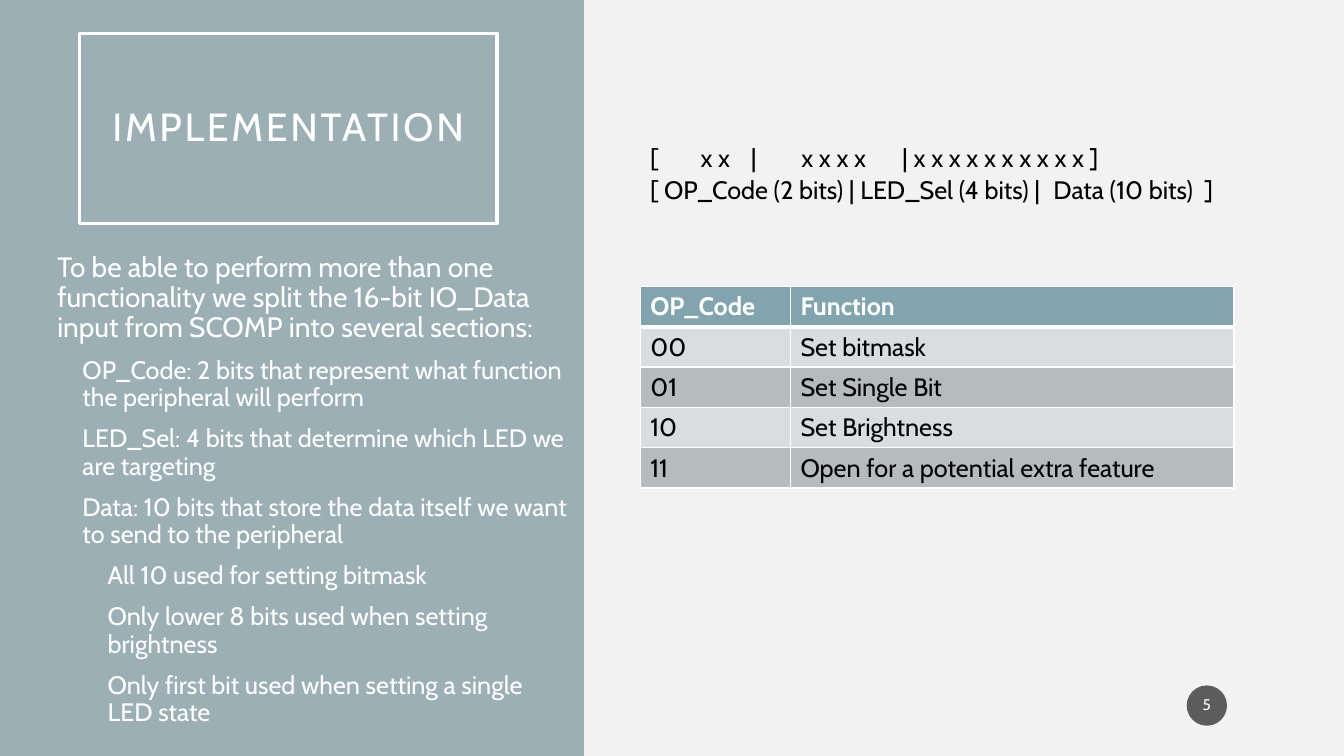
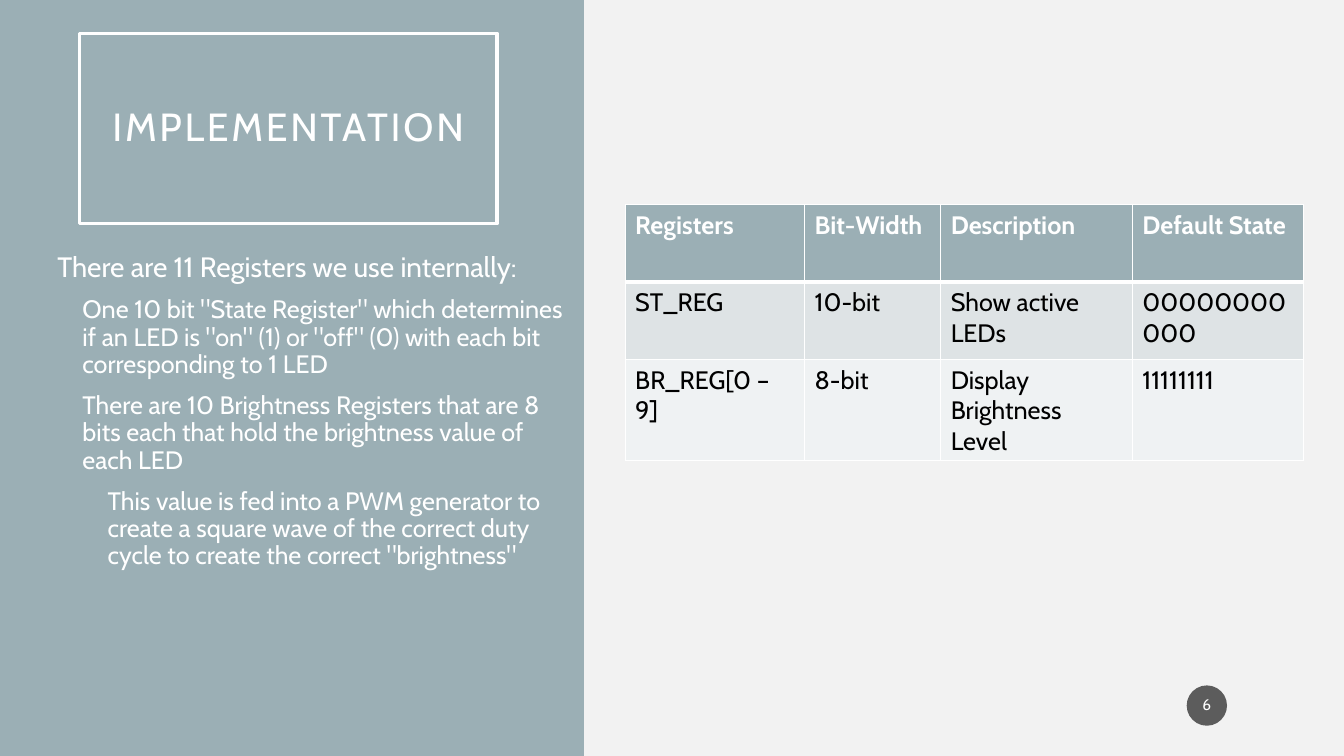
from dataclasses import dataclass

from lxml.etree import SubElement
from pptx import Presentation
from pptx.dml.color import RGBColor
from pptx.enum.shapes import MSO_SHAPE as Shape
from pptx.enum.text import MSO_ANCHOR as Anchor, PP_ALIGN as Align
from pptx.oxml.ns import qn
from pptx.util import Inches, Pt

FONT = "Cabin"
WHITE, BLACK = "FFFFFF", "000000"
BACKGROUND, PANEL, BADGE = "F2F2F2", "9BAFB5", "1D1D1D"
BULLET_STEP = 0.25


@dataclass(frozen=True)
class Point:
    level: int
    text: str


@dataclass(frozen=True)
class Grid:
    left: float
    top: float
    widths: tuple[float, ...]
    row_height: float
    header: str
    bands: tuple[str, str]
    rows: tuple[tuple[str, ...], ...]


@dataclass(frozen=True)
class Page:
    number: int
    points: tuple[Point, ...]
    grid: Grid


OPCODES = Page(
    5,
    (
        Point(0, "To be able to perform more than one functionality we split the "
                 "16-bit IO_Data input from SCOMP into several sections:"),
        Point(1, "OP_Code: 2 bits that represent what function the peripheral will perform"),
        Point(1, "LED_Sel: 4 bits that determine which LED we are targeting"),
        Point(1, "Data: 10 bits that store the data itself we want to send to the peripheral"),
        Point(2, "All 10 used for setting bitmask"),
        Point(2, "Only lower 8 bits used when setting brightness"),
        Point(2, "Only first bit used when setting a single LED state"),
    ),
    Grid(6.35, 2.84, (1.49, 4.4), 0.4, "81A4AF", ("D9DDDF", "B4BCBE"), (
        ("OP_Code", "Function"),
        ("00", "Set bitmask"),
        ("01", "Set Single Bit"),
        ("10", "Set Brightness"),
        ("11", "Open for a potential extra feature"),
    )),
)

REGISTERS = Page(
    6,
    (
        Point(0, "There are 11 Registers we use internally:"),
        Point(1, 'One 10 bit "State Register" which determines if an LED is "on" (1) '
                 'or "off" (0) with each bit corresponding to 1 LED'),
        Point(1, "There are 10 Brightness Registers that are 8 bits each that hold "
                 "the brightness value of each LED"),
        Point(2, "This value is fed into a PWM generator to create a square wave of "
                 'the correct duty cycle to create the correct "brightness"'),
    ),
    Grid(6.2, 2.03, (1.78, 1.35, 1.9, 1.7), 0.77, PANEL, ("DEE3E5", "EFF2F3"), (
        ("Registers", "Bit-Width", "Description", "Default State"),
        ("ST_REG", "10-bit", "Show active LEDs", "00000000000"),
        ("BR_REG[0 – 9]", "8-bit", "Display Brightness Level", "11111111"),
    )),
)

BIT_LAYOUT = (
    ("[\tx x\t|\tx x x x\t| x x x x x x x x x x ]", (0.75, 1.68, 2.21, 3.25)),
    ("[ OP_Code (2 bits) | LED_Sel (4 bits) |\tData (10 bits)\t]", (4.14, 5.73)),
)


def rgb(color: str) -> RGBColor:
    return RGBColor.from_string(color)


def write(tf, text: str, *, size=18, color=WHITE, bold=False, align=Align.LEFT,
          line=None, before=None, after=None, spacing=None, level=0, indent=0.0):
    p = tf.paragraphs[0]
    if p.runs:
        p = tf.add_paragraph()
    p.alignment, p.level = align, level
    p.line_spacing = line
    p.space_before = Pt(before or 0)
    p.space_after = Pt(after or 0)
    props = p._p.get_or_add_pPr()
    props.set("marL", str(Inches(indent)))
    props.set("indent", "0")
    r = p.add_run()
    r.text = text
    r.font.name, r.font.size, r.font.bold = FONT, Pt(size), bold
    r.font.color.rgb = rgb(color)
    if spacing:
        r.font._element.set("spc", str(spacing * 100))
    return p


def add_box(s, kind: Shape, left: float, top: float, width: float, height: float,
            fill: str | None = None, line: str | None = None):
    sp = s.shapes.add_shape(kind, Inches(left), Inches(top), Inches(width), Inches(height))
    sp.shadow.inherit = False
    if fill:
        sp.fill.solid()
        sp.fill.fore_color.rgb = rgb(fill)
    else:
        sp.fill.background()
    if line:
        sp.line.color.rgb = rgb(line)
        sp.line.width = Pt(2.5)
    else:
        sp.line.fill.background()
    return sp


def add_text_frame(s, left: float, top: float, width: float, height: float):
    tf = s.shapes.add_textbox(Inches(left), Inches(top), Inches(width), Inches(height)).text_frame
    tf.word_wrap = True
    return tf


def set_insets(tf, side: float, end: float) -> None:
    tf.margin_left = tf.margin_right = Inches(side)
    tf.margin_top = tf.margin_bottom = Inches(end)
    tf.vertical_anchor = Anchor.MIDDLE
    tf.word_wrap = True


def add_title(s, text: str) -> None:
    tf = add_box(s, Shape.RECTANGLE, 0.79, 0.33, 4.14, 1.89, line=WHITE).text_frame
    set_insets(tf, 0.2, 0.2)
    write(tf, text, size=28, align=Align.CENTER, line=0.9, spacing=2)


def add_points(s, points: tuple[Point, ...]) -> None:
    tf = add_text_frame(s, 0.22, 2.46, 5.54, 4.8)
    for point in points:
        write(tf, point.text, size=18 if point.level else 20, line=0.9, before=10,
              level=point.level, indent=BULLET_STEP * (point.level + 1))


def add_page_number(s, number: int) -> None:
    sp = add_box(s, Shape.OVAL, 11.77, 6.8, 0.4, 0.4, fill=BADGE)
    color = sp.fill._xPr.find(qn("a:solidFill"))[0]
    SubElement(color, qn("a:alpha"), val="70000")
    set_insets(sp.text_frame, 0.02, 0.05)
    write(sp.text_frame, str(number), size=11, align=Align.CENTER, line=0.9, after=6)


def set_borders(cell, top: float, bottom: float) -> None:
    props = cell._tc.get_or_add_tcPr()
    for side, width in (("L", 1), ("R", 1), ("T", top), ("B", bottom)):
        ln = SubElement(props, qn(f"a:ln{side}"), w=str(Pt(width)))
        SubElement(SubElement(ln, qn("a:solidFill")), qn("a:srgbClr"), val=WHITE)


def add_grid(s, grid: Grid) -> None:
    table = s.shapes.add_table(
        len(grid.rows), len(grid.widths), Inches(grid.left), Inches(grid.top),
        Inches(sum(grid.widths)), Inches(grid.row_height * len(grid.rows))).table
    for column, width in zip(table.columns, grid.widths):
        column.width = Inches(width)
    for i, (row, texts) in enumerate(zip(table.rows, grid.rows)):
        row.height = Inches(grid.row_height)
        header = i == 0
        for cell, text in zip(row.cells, texts):
            set_borders(cell, 3 if i == 1 else 1, 3 if header else 1)
            cell.fill.solid()
            cell.fill.fore_color.rgb = rgb(grid.header if header else grid.bands[(i - 1) % 2])
            write(cell.text_frame, text, color=WHITE if header else BLACK, bold=header)


def add_bit_layout(s) -> None:
    tf = add_text_frame(s, 6.35, 1.36, 6.89, 0.73)
    for text, stops in BIT_LAYOUT:
        p = write(tf, text, color=BLACK, before=1.5)
        tabs = SubElement(p._p.get_or_add_pPr(), qn("a:tabLst"))
        for stop in stops:
            SubElement(tabs, qn("a:tab"), pos=str(Inches(stop)), algn="l")


def add_page(prs, page: Page):
    s = prs.slides.add_slide(prs.slide_layouts[6])
    s.background.fill.solid()
    s.background.fill.fore_color.rgb = rgb(BACKGROUND)
    add_box(s, Shape.RECTANGLE, 0, 0, 5.79, 7.5, fill=PANEL)
    add_title(s, "IMPLEMENTATION")
    add_points(s, page.points)
    add_page_number(s, page.number)
    add_grid(s, page.grid)
    return s


def main() -> None:
    prs = Presentation()
    prs.slide_width, prs.slide_height = Inches(13.33), Inches(7.5)
    add_bit_layout(add_page(prs, OPCODES))
    add_page(prs, REGISTERS)
    prs.save("out.pptx")


if __name__ == "__main__":
    main()
